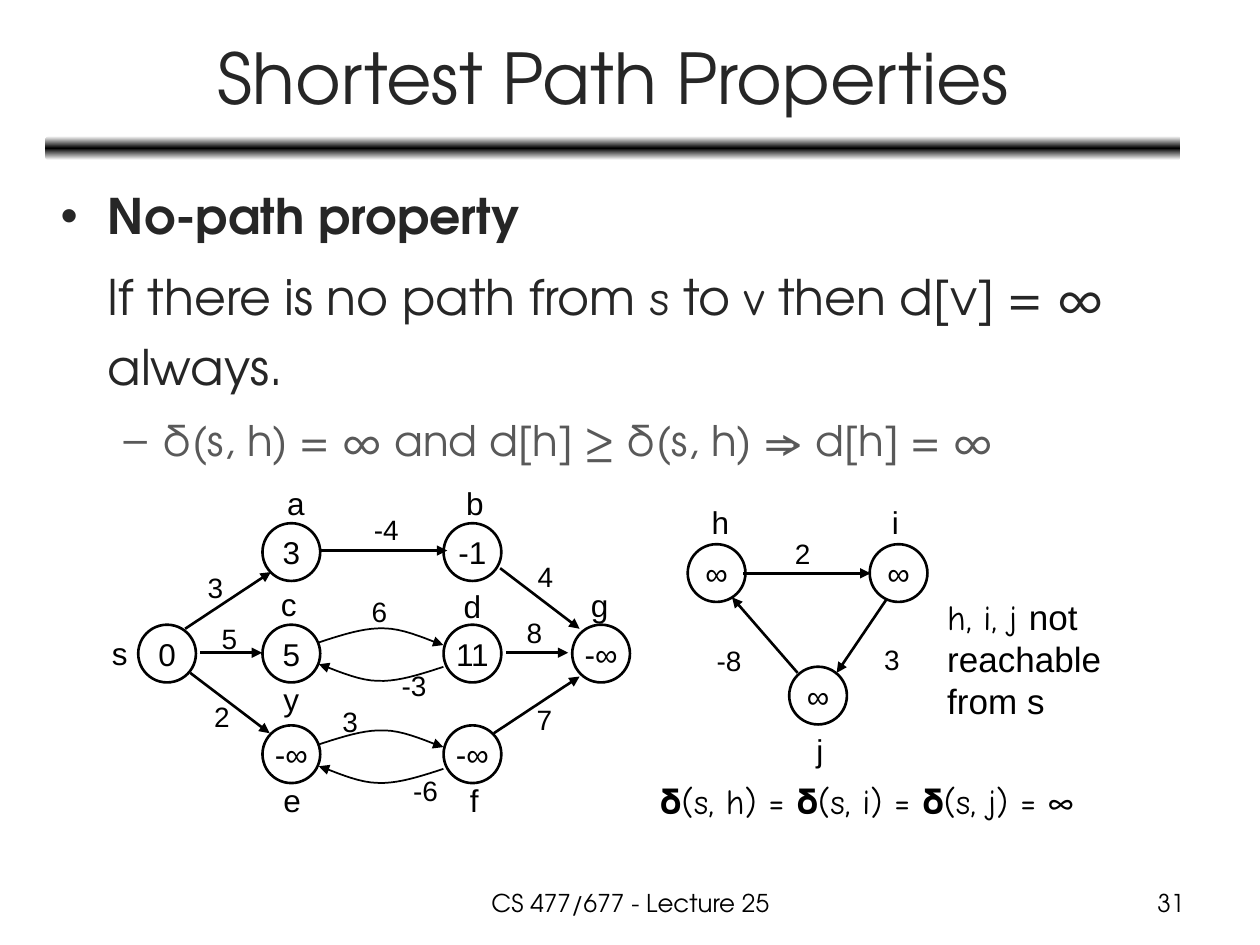
from copy import deepcopy
from dataclasses import dataclass
from lxml.etree import SubElement
from pptx import Presentation
from pptx.dml.color import RGBColor
from pptx.enum.shapes import MSO_CONNECTOR, MSO_SHAPE
from pptx.enum.text import MSO_ANCHOR, MSO_AUTO_SIZE, PP_ALIGN
from pptx.oxml.ns import qn
from pptx.util import Pt


@dataclass
class Theme:
    ink: RGBColor = RGBColor(0, 0, 0)
    white: RGBColor = RGBColor(255, 255, 255)
    heading: RGBColor = RGBColor(0x26, 0x26, 0x26)
    muted: RGBColor = RGBColor(0x59, 0x59, 0x59)
    main: str = "TeX Gyre Adventor"
    hand: str = "Comic Neue"
    plain: str = "Arial"
    title: int = 40
    body: int = 28
    sub: int = 24
    note: int = 20
    node: int = 18
    weight: int = 16
    footer: int = 14


theme = Theme()


def style(r, size, name, color, bold=False):
    r.font.size = Pt(size)
    r.font.name = name
    r.font.color.rgb = color
    r.font.bold = bold


def label(shapes, x, y, w, h, text, size, name, align=None):
    tf = shapes.add_textbox(Pt(x), Pt(y), Pt(w), Pt(h)).text_frame
    tf.word_wrap = align is not None
    if align is None:
        tf.auto_size = MSO_AUTO_SIZE.SHAPE_TO_FIT_TEXT
    tf.text = text
    for p in tf.paragraphs:
        p.alignment = align
        for r in p.runs:
            style(r, size, name, theme.ink)
    return tf


prs = Presentation()
prs.slide_width, prs.slide_height = Pt(720), Pt(540)
s = prs.slides.add_slide(prs.slide_layouts[1])

title = s.shapes.title
title.left, title.top, title.width, title.height = Pt(26.6), Pt(8), Pt(648), Pt(71)
tf = title.text_frame
tf.text = "Shortest Path Properties"
tf.vertical_anchor = MSO_ANCHOR.MIDDLE
tf.auto_size = MSO_AUTO_SIZE.NONE
tf.paragraphs[0].alignment = PP_ALIGN.CENTER
style(tf.paragraphs[0].runs[0], theme.title, theme.main, theme.heading)

body = s.placeholders[1]
body.left, body.top, body.width, body.height = Pt(27.4), Pt(95.8), Pt(672), Pt(400)
tf = body.text_frame
tf.auto_size = MSO_AUTO_SIZE.NONE
tf.vertical_anchor = MSO_ANCHOR.TOP
paragraphs = [
    (0, "•", 27, -27, 0, theme.body, theme.heading, [("No-path property", theme.main, True)]),
    (0, None, 27, 0, 5.6, theme.body, theme.heading, [
        ("If there is no path from ", theme.main, False), ("s", theme.hand, False),
        (" to ", theme.main, False), ("v", theme.hand, False),
        (" then d[v] = ∞ always.", theme.main, False)]),
    (1, "–", 58.5, -22.5, 4.8, theme.sub, theme.muted, [
        ("δ(s, h) = ∞ and d[h] ≥ δ(s, h) ⇒ d[h] = ∞", theme.main, False)]),
]
for i, (level, bullet, margin, indent, before, size, color, runs) in enumerate(paragraphs):
    p = tf.add_paragraph() if i else tf.paragraphs[0]
    p.level = level
    p.line_spacing = 1.2
    p.space_before = Pt(before)
    pPr = p._p.get_or_add_pPr()
    pPr.set("marL", str(Pt(margin)))
    pPr.set("indent", str(Pt(indent)))
    if bullet:
        SubElement(pPr, qn("a:buChar")).set("char", bullet)
    else:
        SubElement(pPr, qn("a:buNone"))
    for text, name, bold in runs:
        r = p.add_run()
        r.text = text
        style(r, size, name, color, bold)

bar = s.shapes.add_shape(MSO_SHAPE.ROUNDED_RECTANGLE, Pt(26), Pt(77.8), Pt(648.7), Pt(13.7))
bar.shadow.inherit = False
bar.line.fill.background()
bar.fill.gradient()
bar.fill.gradient_angle = 90
stops = bar._element.spPr.find(qn("a:gradFill")).find(qn("a:gsLst"))
stops.append(deepcopy(stops[-1]))
for stop, position, color in zip(bar.fill.gradient_stops, (0, 0.5, 1),
                                 (theme.white, theme.ink, theme.white)):
    stop.position = position
    stop.color.rgb = color

graphs = [
    dict(
        nodes=[("0", 79, 357), ("3", 150, 299), ("-1", 253.5, 299), ("5", 150, 357),
               ("11", 253.5, 357), ("-∞", 150, 414.5), ("-∞", 253.5, 414.5), ("-∞", 327, 357)],
        edges=[(183, 314.6, 255.6, 314.6), (105.8, 359.3, 154.8, 326.9),
               (108.7, 384.5, 154.1, 419), (285.8, 324.7, 331.2, 359.3),
               (282.2, 419, 331.2, 386.6), (114.5, 373, 149.8, 373), (289.4, 373, 324.7, 373)],
        loops=[(217.8, 374.1), (217.8, 432.4)],
        weights=[("3", 111.6, 322.6), ("-4", 206.6, 289.4), ("2", 115.2, 396),
                 ("8", 293.8, 348.5), ("-6", 229, 438.5), ("-3", 222.5, 378.7),
                 ("3", 188.6, 398.9), ("5", 119.5, 351.4), ("6", 205.2, 336.2),
                 ("4", 300.2, 316.1), ("7", 299.5, 398.2)],
        names=[("s", 56.9, 358.6), ("a", 157, 272.9), ("b", 259.2, 272.9),
               ("c", 153.4, 330.5), ("d", 257.8, 331.9), ("g", 330.5, 331.2),
               ("y", 154.8, 385.2), ("e", 154.8, 442.8), ("f", 261.4, 442.8)]),
    dict(
        nodes=[("∞", 393, 311), ("∞", 497, 311), ("∞", 451, 381)],
        edges=[(424.8, 327.6, 497.5, 327.6), (506.9, 342, 478.1, 384.5),
               (455.8, 384.5, 418.3, 341.3)],
        loops=[],
        weights=[("2", 447.1, 303.1), ("3", 498.2, 363.6), ("-8", 402.5, 364.3)],
        names=[("h", 399.6, 283.7), ("i", 502.6, 283.7), ("j", 459.4, 414)]),
]
arc = [(-35.6, -7), (-22.6, -11.2), (-9.7, -15.5), (1.8, -15), (14, -15), (29.9, -7), (35.6, -5.5)]
steps = 10
bend = [arc[0]]
for start in (0, 3):
    a, b, c, d = arc[start:start + 4]
    for t in (k / steps for k in range(1, steps + 1)):
        u = 1 - t
        bend.append(tuple(u**3 * a[i] + 3 * u * u * t * b[i] + 3 * u * t * t * c[i] + t**3 * d[i]
                          for i in (0, 1)))

arrows = []
for graph in graphs:
    shapes = s.shapes.add_group_shape().shapes
    for text, x, y in graph["nodes"]:
        sp = shapes.add_shape(MSO_SHAPE.OVAL, Pt(x), Pt(y), Pt(33), Pt(33))
        sp.shadow.inherit = False
        sp.fill.background()
        sp.line.color.rgb = theme.ink
        sp.line.width = Pt(1.5)
        tf = sp.text_frame
        tf.word_wrap = False
        tf.vertical_anchor = MSO_ANCHOR.MIDDLE
        tf.text = text
        tf.paragraphs[0].alignment = PP_ALIGN.CENTER
        style(tf.paragraphs[0].runs[0], theme.node, theme.plain, theme.ink)
    for edge in graph["edges"]:
        arrows.append((shapes.add_connector(MSO_CONNECTOR.STRAIGHT, *map(Pt, edge)), 1.5))
    for cx, cy in graph["loops"]:
        for turn in (1, -1):
            points = [(Pt(cx + turn * x), Pt(cy + turn * y)) for x, y in bend]
            builder = shapes.build_freeform(*points[0])
            builder.add_line_segments(points[1:], close=False)
            sp = builder.convert_to_shape()
            sp.fill.background()
            arrows.append((sp, 1))
    for text, x, y in graph["weights"]:
        label(shapes, x, y, 23 if len(text) == 1 else 28.8, 26.6, text, theme.weight, theme.plain)
    for text, x, y in graph["names"]:
        label(shapes, x, y, 19 if text in "fij" else 24, 28.8, text, theme.node, theme.plain)

for sp, width in arrows:
    sp.line.color.rgb = theme.ink
    sp.line.width = Pt(width)
    spPr = sp._element.spPr
    SubElement(spPr.find(qn("a:ln")), qn("a:tailEnd")).set("type", "triangle")
    SubElement(spPr, qn("a:effectLst"))

label(s.shapes, 370, 442, 267, 31.7, "𝛅(s, h) = 𝛅(s, i) = 𝛅(s, j) = ∞", theme.note, theme.hand)
tf = label(s.shapes, 534.2, 337, 102.2, 79.2, "h, i, j \nreachable\nfrom s", theme.note, theme.plain)
p = tf.paragraphs[0]
p.runs[0].font.name = theme.hand
r = p.add_run()
r.text = "not"
style(r, theme.note, theme.plain, theme.ink)

label(s.shapes, 246.2, 504, 228.2, 25.2, "CS 477/677 - Lecture 25", theme.footer, theme.main,
      PP_ALIGN.CENTER)
label(s.shapes, 516.2, 504, 167.8, 25.2, "31", theme.footer, theme.main, PP_ALIGN.RIGHT)

prs.save("out.pptx")
